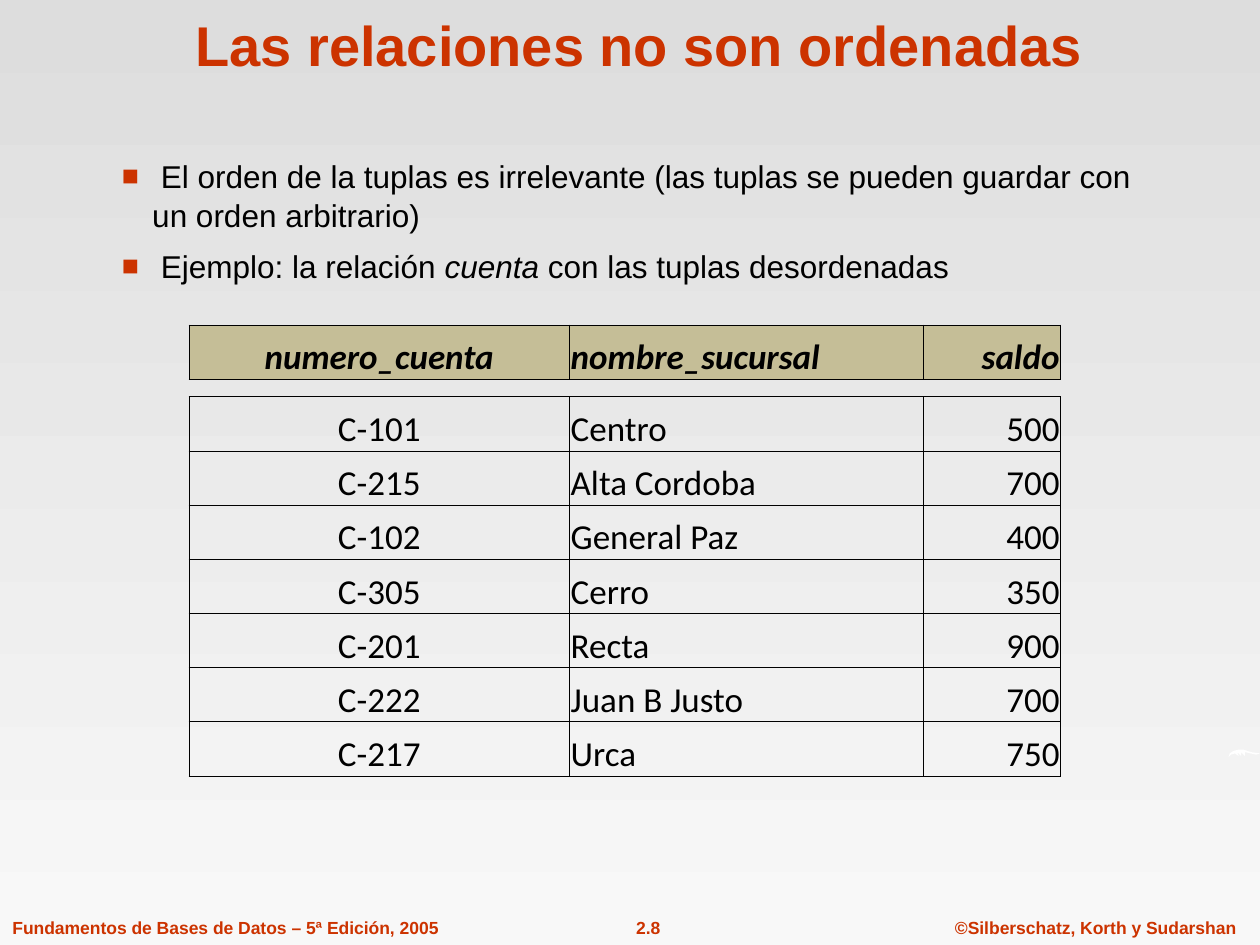
import pptx
import pptx.dml.color
import pptx.enum.text
import pptx.oxml
import pptx.oxml.ns
import pptx.util
from pptx.util import Inches

RED = pptx.dml.color.RGBColor(0xCC, 0x33, 0x00)
BLACK = pptx.dml.color.RGBColor(0, 0, 0)
WHITE = pptx.dml.color.RGBColor(255, 255, 255)
KHAKI = pptx.dml.color.RGBColor(0xC5, 0xBE, 0x97)
GRADIENT = [
    (0, pptx.dml.color.RGBColor(0xDD, 0xDD, 0xDD)),
    (1, pptx.dml.color.RGBColor(0xF8, 0xF8, 0xF8)),
]
ALIGN = pptx.enum.text.PP_ALIGN
ANCHOR = pptx.enum.text.MSO_ANCHOR

TITLE = "Las relaciones no son ordenadas"
BULLETS = [
    [(" El orden de la tuplas es irrelevante (las tuplas se pueden guardar con un orden arbitrario)", False)],
    [(" Ejemplo: la relación ", False), ("cuenta", True), (" con las tuplas desordenadas", False)],
]
FOOTERS = [
    ("Fundamentos de Bases de Datos – 5ª Edición, 2005", 0, 3.58, ALIGN.LEFT),
    ("2.8", 4.9, 0.49, ALIGN.CENTER),
    ("©Silberschatz, Korth y Sudarshan", 7.48, 2.43, ALIGN.CENTER),
]
HEADER = ("numero_cuenta", "nombre_sucursal", "saldo")
ACCOUNTS = [
    ("C-101", "Centro", "500"),
    ("C-215", "Alta Cordoba", "700"),
    ("C-102", "General Paz", "400"),
    ("C-305", "Cerro", "350"),
    ("C-201", "Recta", "900"),
    ("C-222", "Juan B Justo", "700"),
    ("C-217", "Urca", "750"),
]
COLUMNS = [(3.02, ALIGN.CENTER), (2.81, ALIGN.LEFT), (1.09, ALIGN.RIGHT)]
ROW_HEIGHT, GAP_HEIGHT = 0.43, 0.14
SWOOSH = [
    (9.75, 6.01), (9.76, 5.98), (9.79, 5.96), (9.83, 5.95), (9.87, 5.95),
    (9.93, 5.97), (10, 5.98), (9.97, 5.99), (9.88, 5.97), (9.88, 6),
    (9.85, 5.97), (9.85, 6), (9.82, 5.97), (9.83, 6), (9.8, 5.98), (9.77, 5.99),
]

TITLE_FORMAT = {"name": "Arial", "size": pptx.util.Pt(32), "bold": True}
FOOTER_FORMAT = {"name": "Arial", "size": pptx.util.Pt(10), "bold": True}
BULLET_FORMAT = {"name": "Arial", "size": pptx.util.Pt(18)}
CELL_FORMAT = {"name": "Calibri", "size": pptx.util.Pt(20)}


def element(markup):
    tag, rest = markup[1:].split(" ", 1)
    return pptx.oxml.parse_xml(f"<{tag} {pptx.oxml.ns.nsdecls('a')} {rest}")


def add_span(para, text, color, **values):
    span = para.add_run()
    span.text = text
    for name, value in values.items():
        setattr(span.font, name, value)
    span.font.color.rgb = color


def add_bullet(para):
    properties = para._p.get_or_add_pPr()
    properties.set("marL", str(Inches(0.24)))
    properties.set("indent", str(-Inches(0.24)))
    for markup in (
        f'<a:buClr ><a:srgbClr val="{RED}"/></a:buClr>',
        '<a:buSzPct val="90000"/>',
        '<a:buFont typeface="Arial"/>',
        '<a:buChar char="■"/>',
    ):
        properties.append(element(markup))


def add_borders(cell, sides):
    for side in "LRTB":
        paint = '<a:solidFill><a:srgbClr val="000000"/></a:solidFill>' if side in sides else "<a:noFill/>"
        cell._tc.get_or_add_tcPr().append(element(f'<a:ln{side} w="6350">{paint}</a:ln{side}>'))


def add_background(page):
    fill = page.background.fill
    fill.gradient()
    fill.gradient_angle = 270
    for stop, (position, color) in zip(fill.gradient_stops, GRADIENT):
        stop.position = position
        stop.color.rgb = color


def add_swoosh(page):
    points = [(Inches(x), Inches(y)) for x, y in SWOOSH]
    builder = page.shapes.build_freeform(*points[0])
    builder.add_line_segments(points[1:], close=True)
    swoosh = builder.convert_to_shape()
    swoosh.shadow.inherit = False
    swoosh.fill.solid()
    swoosh.fill.fore_color.rgb = WHITE
    swoosh.line.fill.background()


def add_title(page):
    title = page.shapes.title
    title.left, title.top, title.width, title.height = map(Inches, (0.66, 0.01, 8.83, 0.66))
    title.text_frame.vertical_anchor = ANCHOR.BOTTOM
    para = title.text_frame.paragraphs[0]
    para.alignment = ALIGN.CENTER
    add_span(para, TITLE, RED, **TITLE_FORMAT)


def add_footers(page):
    for text, left, width, alignment in FOOTERS:
        box = page.shapes.add_textbox(Inches(left), Inches(7.23), Inches(width), Inches(0.27))
        box.text_frame.word_wrap = False
        para = box.text_frame.paragraphs[0]
        para.alignment = alignment
        add_span(para, text, RED, **FOOTER_FORMAT)


def add_bullets(page):
    frame = page.shapes.add_textbox(Inches(0.87), Inches(1.18), Inches(8.46), Inches(1.11)).text_frame
    frame.word_wrap = True
    for index, spans in enumerate(BULLETS):
        para = frame.add_paragraph() if index else frame.paragraphs[0]
        add_bullet(para)
        para.line_spacing = 1.05
        para.space_before = pptx.util.Pt(6.3 if index else 0)
        for text, italic in spans:
            add_span(para, text, BLACK, italic=italic, **BULLET_FORMAT)


def add_accounts(page):
    rows = [HEADER, None, *ACCOUNTS]
    heights = [ROW_HEIGHT if row else GAP_HEIGHT for row in rows]
    width = sum(column for column, _ in COLUMNS)
    table = page.shapes.add_table(
        len(rows), len(COLUMNS), Inches(1.5), Inches(2.58), Inches(width), Inches(sum(heights))
    ).table
    table.horz_banding = table.first_row = False
    for column, (width, _) in zip(table.columns, COLUMNS):
        column.width = Inches(width)
    for index, (row, height) in enumerate(zip(rows, heights)):
        table.rows[index].height = Inches(height)
        for number, (_, alignment) in enumerate(COLUMNS):
            cell = table.cell(index, number)
            cell.margin_left = cell.margin_right = cell.margin_top = Inches(0.01)
            cell.margin_bottom = 0
            cell.vertical_anchor = ANCHOR.BOTTOM
            add_borders(cell, "LRTB" if row else "TB")
            cell.fill.background()
            para = cell.text_frame.paragraphs[0]
            if row is None:
                para._p.append(element('<a:endParaRPr sz="600"/>'))
                continue
            is_header = row is HEADER
            if is_header:
                cell.fill.solid()
                cell.fill.fore_color.rgb = KHAKI
            para.alignment = alignment
            add_span(para, row[number], BLACK, bold=is_header, italic=is_header, **CELL_FORMAT)


def main():
    deck = pptx.Presentation()
    deck.slide_width, deck.slide_height = Inches(10), Inches(7.5)
    page = deck.slides.add_slide(deck.slide_layouts[5])
    for add_part in (add_background, add_swoosh, add_title, add_footers, add_bullets, add_accounts):
        add_part(page)
    deck.save("out.pptx")


if __name__ == "__main__":
    main()
